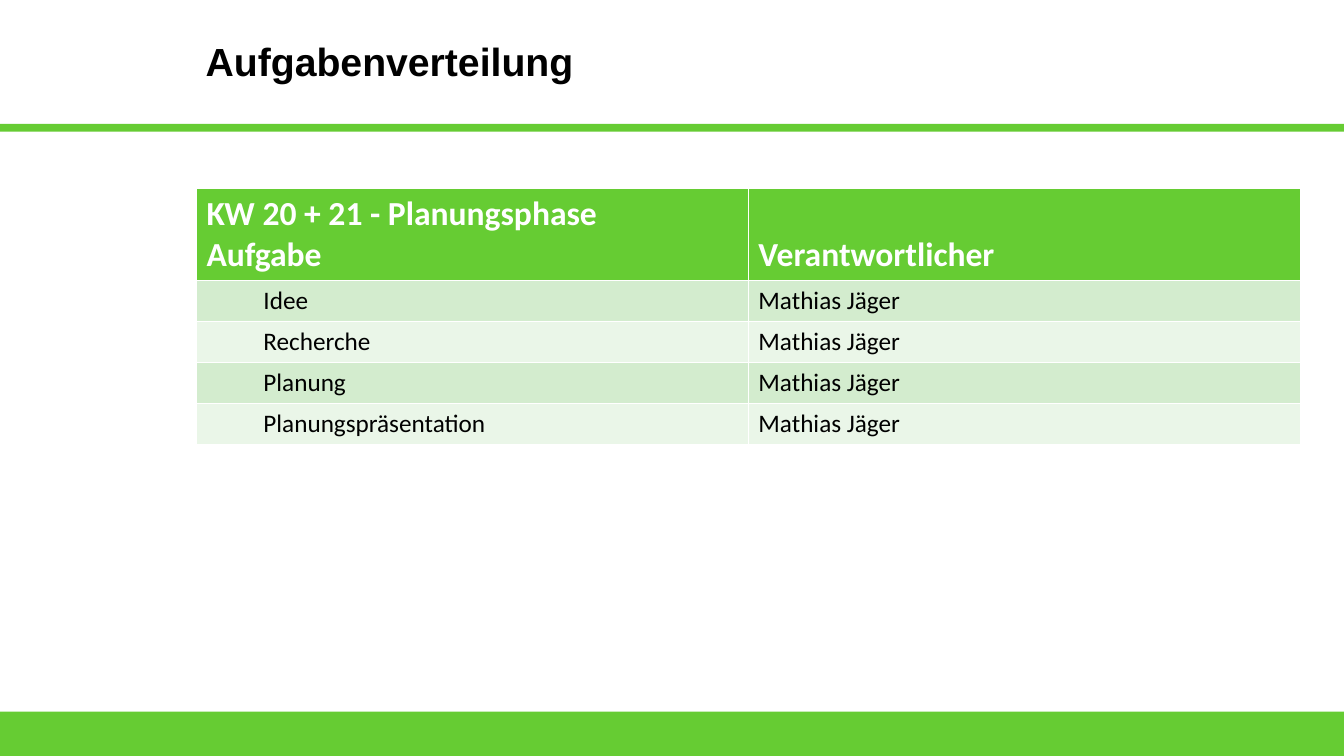
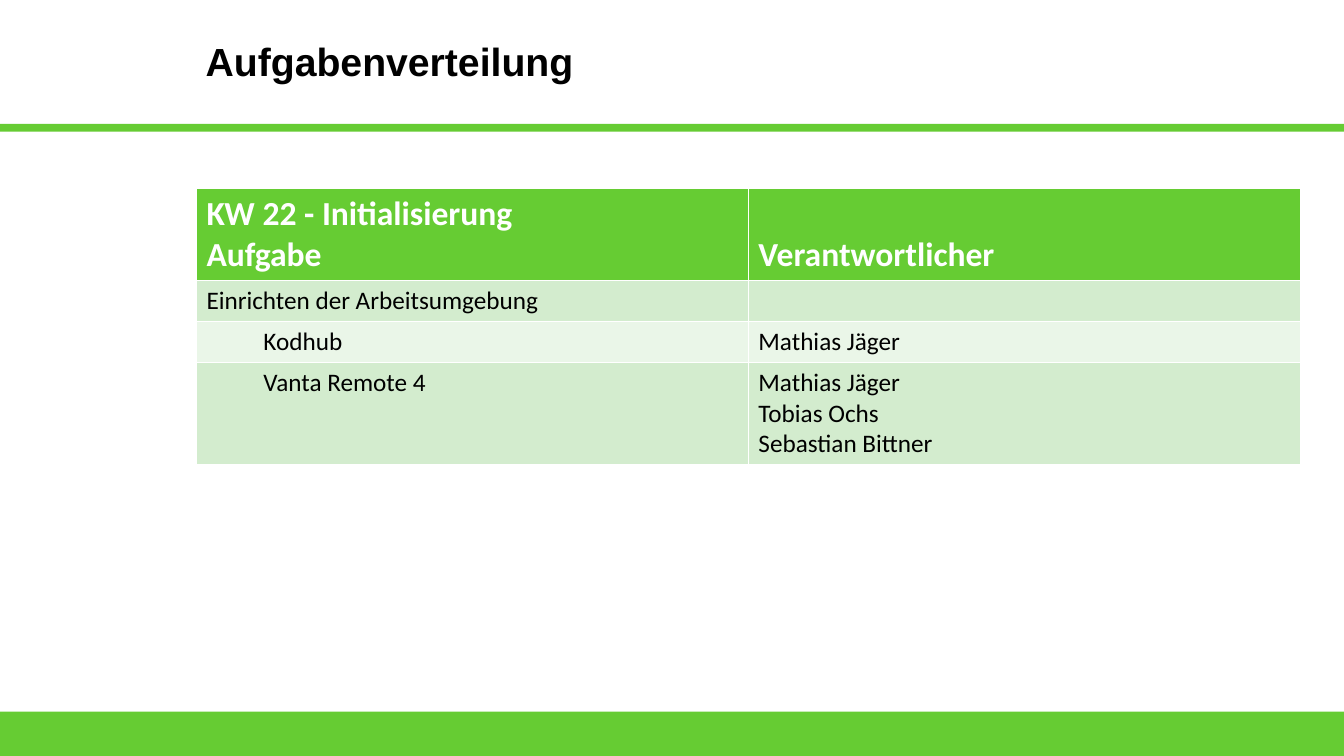
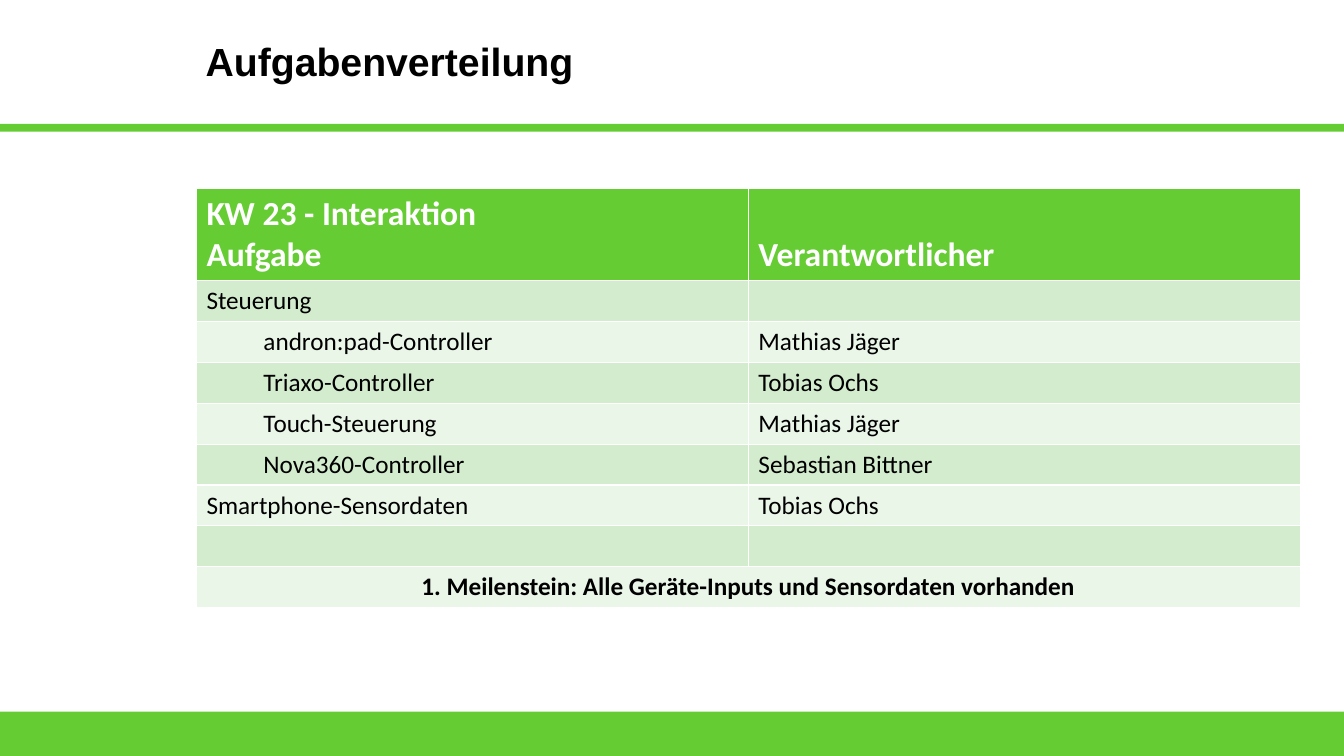
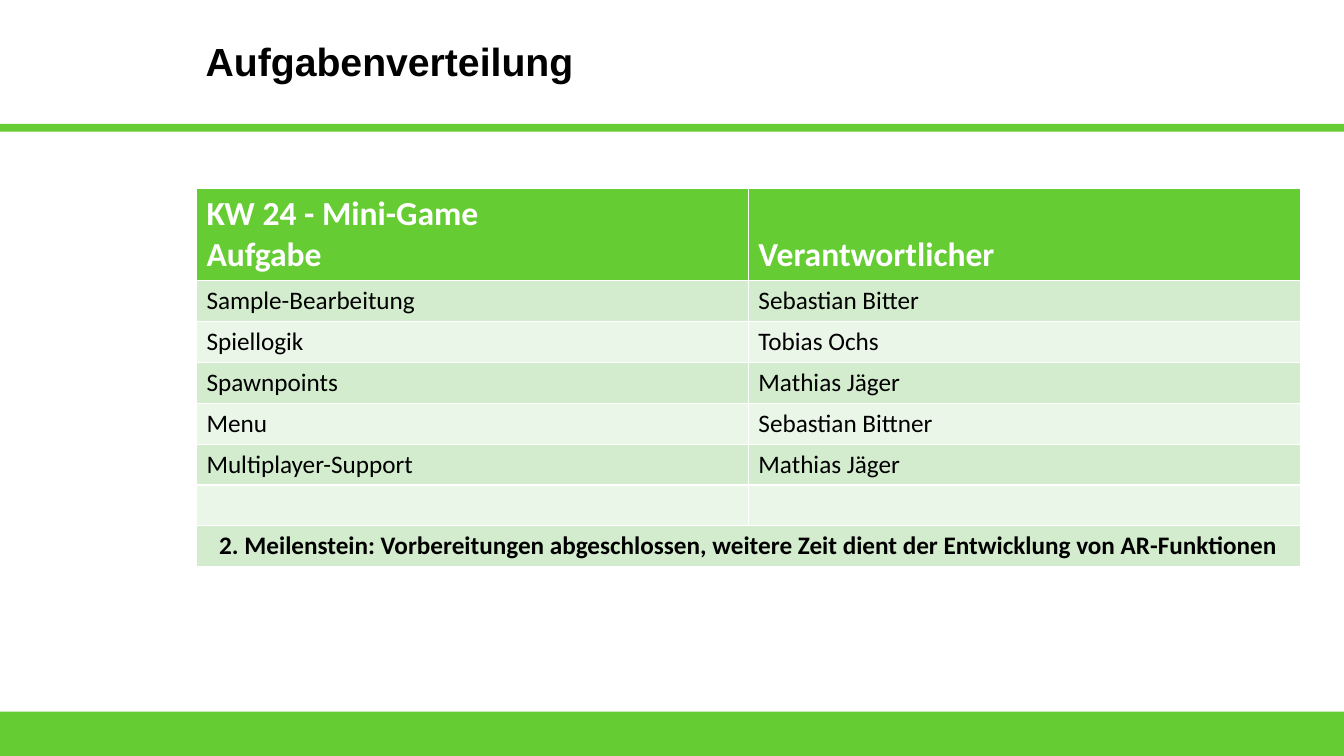
from dataclasses import dataclass

from pptx import Presentation
from pptx.dml.color import RGBColor
from pptx.enum.shapes import MSO_SHAPE
from pptx.enum.text import MSO_ANCHOR, PP_ALIGN
from pptx.util import Cm, Pt

RECTANGLE = MSO_SHAPE.RECTANGLE
MIDDLE, BOTTOM, TOP = MSO_ANCHOR.MIDDLE, MSO_ANCHOR.BOTTOM, MSO_ANCHOR.TOP
LEFT, CENTER = PP_ALIGN.LEFT, PP_ALIGN.CENTER
TITLE_ONLY = 5
SLIDE_WIDTH, SLIDE_HEIGHT = Cm(33.87), Cm(19.05)

MATHIAS, TOBIAS, SEBASTIAN = "Mathias Jäger", "Tobias Ochs", "Sebastian Bittner"


@dataclass(frozen=True)
class Theme:
    green: RGBColor = RGBColor(0x66, 0xCC, 0x33)
    stripes: tuple = (RGBColor(0xD3, 0xEC, 0xCE), RGBColor(0xEA, 0xF6, 0xE8))
    black: RGBColor = RGBColor(0, 0, 0)
    white: RGBColor = RGBColor(0xFF, 0xFF, 0xFF)
    title_font: str = "Arial"
    table_font: str = "Calibri"
    title_size: Pt = Pt(28)
    header_size: Pt = Pt(24)
    entry_size: Pt = Pt(18)


@dataclass(frozen=True)
class Task:
    name: str = ""
    owners: str = ""
    indented: bool = False
    milestone: bool = False


def subtask(name, owners):
    return Task(name, owners, indented=True)


def milestone(name):
    return Task(name, milestone=True)


class Deck:
    def __init__(self, theme):
        self.theme = theme
        self.presentation = Presentation()
        self.presentation.slide_width = SLIDE_WIDTH
        self.presentation.slide_height = SLIDE_HEIGHT
        self.slide = None

    def new_slide(self, title):
        layout = self.presentation.slide_layouts[TITLE_ONLY]
        self.slide = self.presentation.slides.add_slide(layout)
        self.band(Cm(17.93), Cm(1.12))
        self.band(Cm(3.12), Cm(0.2))
        self.title(title)

    def band(self, top, height):
        band = self.slide.shapes.add_shape(RECTANGLE, 0, top, SLIDE_WIDTH, height)
        band.shadow.inherit = False
        band.fill.solid()
        band.fill.fore_color.rgb = self.theme.green
        band.line.fill.background()

    def title(self, text):
        heading = self.slide.shapes.title
        heading.left, heading.top = Cm(4.93), Cm(-0.05)
        heading.width, heading.height = Cm(28.94), Cm(3.18)
        heading.text_frame.vertical_anchor = MIDDLE
        self.styled_text(heading.text_frame, text, self.theme.title_font,
                         self.theme.title_size, self.theme.black, bold=True)

    def styled_text(self, frame, text, font, size, color, bold=False, align=LEFT):
        frame.text = text
        for paragraph in frame.paragraphs:
            paragraph.alignment = align
            paragraph.font.name = font
            paragraph.font.size = size
            paragraph.font.bold = bold
            paragraph.font.color.rgb = color

    def cell(self, cell, text, fill, size, color, bold=False, align=LEFT, anchor=TOP):
        cell.fill.solid()
        cell.fill.fore_color.rgb = fill
        cell.vertical_anchor = anchor
        self.styled_text(cell.text_frame, text, self.theme.table_font,
                         size, color, bold, align)

    def task_table(self, phase, tasks):
        theme = self.theme
        header_height, row_height = Cm(2.29), Cm(1.03)
        table = self.slide.shapes.add_table(
            len(tasks) + 1, 2, Cm(4.95), Cm(4.75), Cm(27.82),
            header_height + row_height * len(tasks)).table
        table.rows[0].height = header_height
        for column, label in enumerate((f"{phase}\nAufgabe", "Verantwortlicher")):
            self.cell(table.cell(0, column), label, theme.green, theme.header_size,
                      theme.white, bold=True, anchor=BOTTOM)
        for row, task in enumerate(tasks, start=1):
            table.rows[row].height = row_height
            fill = theme.stripes[(row - 1) % 2]
            name_cell, owner_cell = table.cell(row, 0), table.cell(row, 1)
            if task.milestone:
                name_cell.merge(owner_cell)
            self.cell(name_cell, task.name, fill, theme.entry_size, theme.black,
                      bold=task.milestone, align=CENTER if task.milestone else LEFT)
            self.cell(owner_cell, task.owners, fill, theme.entry_size, theme.black)
            if task.indented:
                name_cell.margin_left = Cm(1.69)


PHASES = {
    "KW 20 + 21 - Planungsphase": [
        subtask(name, MATHIAS)
        for name in ("Idee", "Recherche", "Planung", "Planungspräsentation")
    ],
    "KW 22 - Initialisierung": [
        Task("Einrichten der Arbeitsumgebung"),
        subtask("Kodhub", MATHIAS),
        subtask("Vanta Remote 4", "\n".join((MATHIAS, TOBIAS, SEBASTIAN))),
    ],
    "KW 23 - Interaktion": [
        Task("Steuerung"),
        subtask("andron:pad-Controller", MATHIAS),
        subtask("Triaxo-Controller", TOBIAS),
        subtask("Touch-Steuerung", MATHIAS),
        subtask("Nova360-Controller", SEBASTIAN),
        Task("Smartphone-Sensordaten", TOBIAS),
        Task(),
        milestone("1. Meilenstein: Alle Geräte-Inputs und Sensordaten vorhanden"),
    ],
    "KW 24 - Mini-Game": [
        Task("Sample-Bearbeitung", "Sebastian Bitter"),
        Task("Spiellogik", TOBIAS),
        Task("Spawnpoints", MATHIAS),
        Task("Menu", SEBASTIAN),
        Task("Multiplayer-Support", MATHIAS),
        Task(),
        milestone("2. Meilenstein: Vorbereitungen abgeschlossen, weitere Zeit "
                  "dient der Entwicklung von AR-Funktionen"),
    ],
}


def main():
    deck = Deck(Theme())
    for phase, tasks in PHASES.items():
        deck.new_slide("Aufgabenverteilung")
        deck.task_table(phase, tasks)
    deck.presentation.save("out.pptx")


if __name__ == "__main__":
    main()
